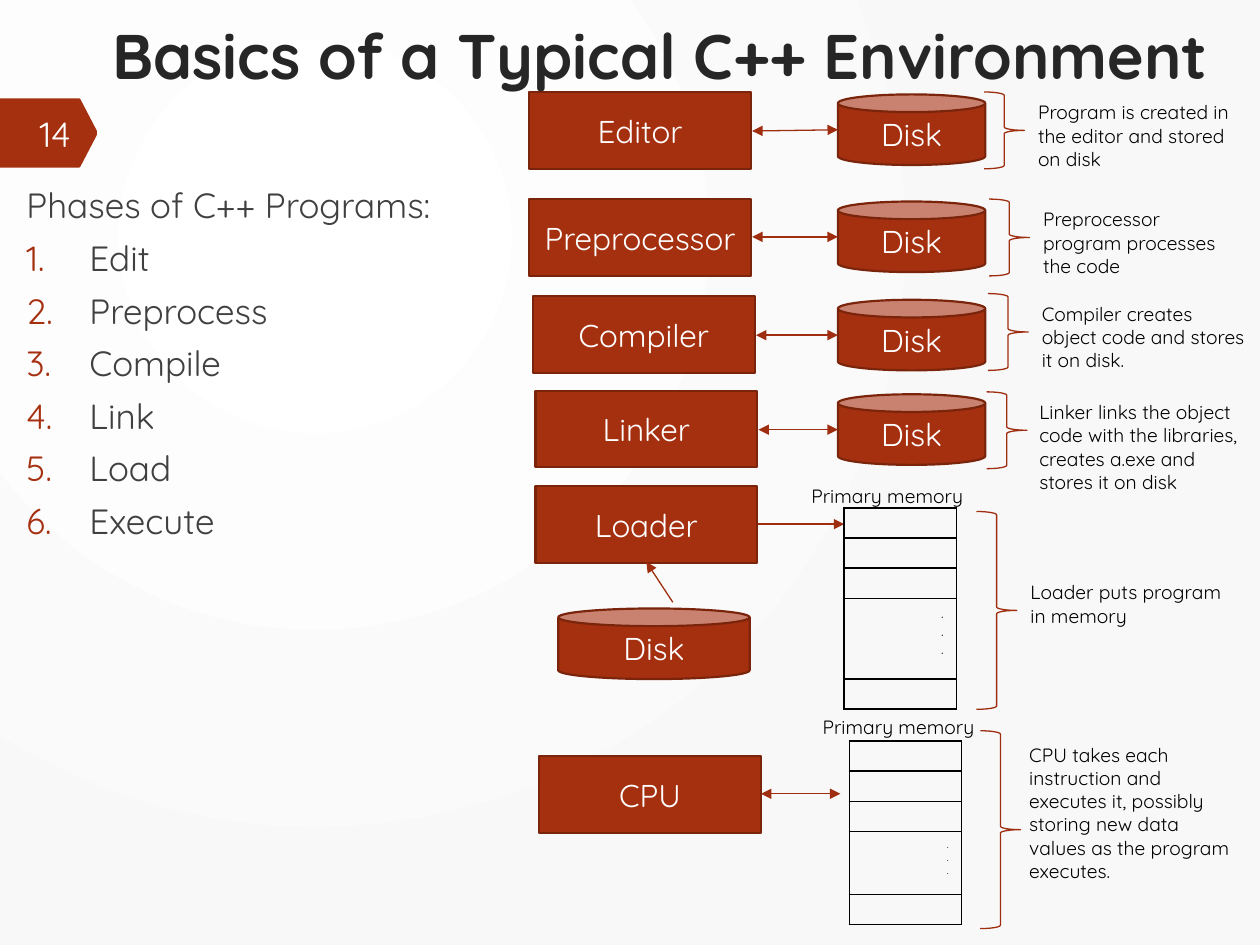
from lxml.etree import SubElement
from pptx import Presentation
from pptx.dml.color import RGBColor
from pptx.enum.shapes import MSO_CONNECTOR, MSO_SHAPE
from pptx.enum.text import MSO_ANCHOR, MSO_AUTO_SIZE, PP_ALIGN
from pptx.oxml.ns import qn
from pptx.util import Inches, Pt

COLORS = {
    "rust": "A53010", "edge": "7A240C", "arrow": "9E2E0F",
    "heading": "262626", "body": "404040", "ink": "000000",
    "light": "FEFFFF", "white": "FFFFFF", "mist": "F8F8F8",
}
RGB = {name: RGBColor.from_string(value) for name, value in COLORS.items()}

deck = Presentation()
deck.slide_width, deck.slide_height = Inches(10), Inches(7.5)
COL, ROW = deck.slide_width / 100, deck.slide_height / 75


def grid(left, top, width, height):
    return [round(left * COL), round(top * ROW), round(width * COL), round(height * ROW)]


def write(frame, text, size=11, color="ink", bold=False, align=PP_ALIGN.LEFT,
          anchor=MSO_ANCHOR.TOP, before=0, fit=MSO_AUTO_SIZE.NONE):
    frame.word_wrap = True
    frame.auto_size = fit
    frame.vertical_anchor = anchor
    for index, line in enumerate(text.split("\n")):
        paragraph = frame.add_paragraph() if index else frame.paragraphs[0]
        paragraph.alignment = align
        paragraph.space_before = Pt(before)
        run = paragraph.add_run()
        run.text = line
        run.font.name = "Quicksand"
        run.font.size = Pt(size)
        run.font.bold = bold
        run.font.color.rgb = RGB[color]


slide = deck.slides.add_slide(deck.slide_layouts[1])
shapes = slide.shapes

backdrop = slide.background.fill
backdrop.gradient()
for stop, shade in zip(backdrop.gradient_stops, ("white", "mist")):
    stop.color.rgb = RGB[shade]
gradient = slide.background._cSld.find(".//" + qn("a:gradFill"))
gradient.remove(gradient.find(qn("a:lin")))
glow = SubElement(gradient, qn("a:path"), path="circle")
SubElement(glow, qn("a:fillToRect"), l="50000", t="50000", r="100000", b="100000")

corners = [(0, 7.8), (6.3, 7.8), (6.4, 7.9), (7.7, 10.4), (7.7, 10.7),
           (6.4, 13.2), (6.3, 13.3), (0, 13.3)]
outline = [(round(x * COL), round(y * ROW)) for x, y in corners]
builder = shapes.build_freeform(*outline[0])
builder.add_line_segments(outline[1:], close=True)
page_marker = builder.convert_to_shape()
page_marker.shadow.inherit = False
page_marker.fill.solid()
page_marker.fill.fore_color.rgb = RGB["rust"]
page_marker.line.fill.background()

phases = slide.placeholders[1]
phases.left, phases.top, phases.width, phases.height = grid(1.1, 14.1, 45.1, 53.8)
write(phases.text_frame,
      "Phases of C++ Programs:\nEdit\nPreprocess\nCompile\nLink\nLoad\nExecute",
      size=20, color="body", before=6)
for index, phase in enumerate(phases.text_frame.paragraphs):
    layout = phase._p.get_or_add_pPr()
    indent = Inches(0.5) if index else 0
    layout.set("marL", str(indent))
    layout.set("indent", str(-indent))
    if index:
        tint = SubElement(layout, qn("a:buClr"))
        SubElement(tint, qn("a:srgbClr"), val=COLORS["rust"])
        SubElement(layout, qn("a:buFont"), typeface="+mj-lt")
        SubElement(layout, qn("a:buAutoNum"), type="arabicPeriod")
    else:
        SubElement(layout, qn("a:buNone"))

heading = shapes.title
heading.left, heading.top, heading.width, heading.height = grid(7.9, 0.8, 90.9, 8.9)
write(heading.text_frame, "Basics of a Typical C++ Environment",
      size=36, color="heading", bold=True)

STAGE, DISK = (17.6, 6.1), (11.7, 5.6)
nodes = [
    ("Editor", MSO_SHAPE.RECTANGLE, 42, 7.3, *STAGE),
    ("Preprocessor", MSO_SHAPE.RECTANGLE, 42, 15.8, *STAGE),
    ("Compiler", MSO_SHAPE.RECTANGLE, 42.3, 23.5, *STAGE),
    ("Linker", MSO_SHAPE.RECTANGLE, 42.5, 31, *STAGE),
    ("Loader", MSO_SHAPE.RECTANGLE, 42.5, 38.6, *STAGE),
    ("CPU", MSO_SHAPE.RECTANGLE, 42.8, 60, *STAGE),
    ("Disk", MSO_SHAPE.CAN, 44.3, 48.3, 15.2, 5.6),
]
nodes += [("Disk", MSO_SHAPE.CAN, 66.5, top, *DISK) for top in (7.5, 16, 23.8, 31.3)]
for label, outline_kind, *cells in nodes:
    node = shapes.add_shape(outline_kind, *grid(*cells))
    node.shadow.inherit = False
    node.fill.solid()
    node.fill.fore_color.rgb = RGB["rust"]
    node.line.color.rgb = RGB["edge"]
    node.line.width = Pt(1.25)
    write(node.text_frame, label, size=18, color="white",
          align=PP_ALIGN.CENTER, anchor=MSO_ANCHOR.MIDDLE)

flows = [
    (59.7, 10.4, 66.5, 10.3, True), (59.7, 18.8, 66.5, 18.8, True),
    (60, 26.6, 66.5, 26.6, True), (60.2, 34.1, 66.5, 34.1, True),
    (53.4, 47.8, 51.3, 44.6, False), (60.2, 41.6, 67, 41.6, False),
    (60.4, 63, 66.7, 63, True),
]
for *ends, two_way in flows:
    flow = shapes.add_connector(MSO_CONNECTOR.STRAIGHT, *grid(*ends))
    flow.line.color.rgb = RGB["arrow"]
    flow.line.width = Pt(0.75)
    stroke = flow.line._get_or_add_ln()
    if two_way:
        SubElement(stroke, qn("a:headEnd"), type="triangle")
    SubElement(stroke, qn("a:tailEnd"), type="triangle")
    SubElement(flow._element.spPr, qn("a:effectLst"))

for left, top, height in [(78.1, 7.3, 6.1), (78.5, 15.8, 6.1), (78.4, 23.3, 6.1),
                          (78.3, 31.1, 6.1), (77.5, 40.6, 15.7), (77.8, 58, 15.7)]:
    brace = shapes.add_shape(MSO_SHAPE.RIGHT_BRACE, *grid(left, top, 3.2, height))
    brace.shadow.inherit = False
    brace.fill.background()
    brace.line.color.rgb = RGB["arrow"]
    brace.line.width = Pt(0.75)

for left, top, dots_row, dot_size in [(67, 40.3, 6.4, 8), (67.4, 58.8, 5, 6)]:
    heights = [2.4, 2.4, 2.4, dots_row, 2.4]
    memory = shapes.add_table(5, 1, *grid(left, top, 8.9, sum(heights))).table
    memory.first_row = memory.horz_banding = False
    for index, height in enumerate(heights):
        memory.rows[index].height = round(height * ROW)
        slot = memory.cell(index, 0)
        borders = slot._tc.get_or_add_tcPr()
        for side in ("lnL", "lnR", "lnT", "lnB"):
            border = SubElement(borders, qn("a:" + side), w=str(Pt(1)))
            paint = SubElement(border, qn("a:solidFill"))
            SubElement(paint, qn("a:srgbClr"), val=COLORS["ink"])
        slot.fill.background()
        if height == dots_row:
            write(slot.text_frame, ".\n.\n.", size=dot_size, align=PP_ALIGN.RIGHT)
        else:
            SubElement(slot.text_frame.paragraphs[0]._p, qn("a:endParaRPr"), sz="600")

notes = [
    ("Program is created in the editor and stored on disk", 81.4, 7.5, 17.4, 6.6),
    ("Preprocessor program processes the code", 81.8, 16, 17.4, 6.6),
    ("Compiler creates object code and stores it on disk.", 81.7, 23.5, 18.4, 8.4),
    ("Linker links the object\ncode with the libraries, creates a.exe and stores it on disk",
     81.5, 31.3, 18.4, 12.1),
    ("Loader puts program\nin memory", 80.8, 45.6, 18.4, 4.7),
    ("CPU takes each\ninstruction and\nexecutes it, possibly\nstoring new data\n"
     "values as the program executes.", 80.7, 58.5, 18.4, 12.1),
    ("Primary memory", 63.4, 37.9, 15.2, 2.9),
    ("Primary memory", 64.3, 56.3, 15.2, 2.9),
]
for caption, *cells in notes:
    note = shapes.add_textbox(*grid(*cells))
    write(note.text_frame, caption, fit=MSO_AUTO_SIZE.SHAPE_TO_FIT_TEXT)

page_number = shapes.add_textbox(*grid(0.2, 8.6, 6.4, 4))
write(page_number.text_frame, "14", size=20, color="light",
      align=PP_ALIGN.RIGHT, anchor=MSO_ANCHOR.MIDDLE)

deck.save("out.pptx")
